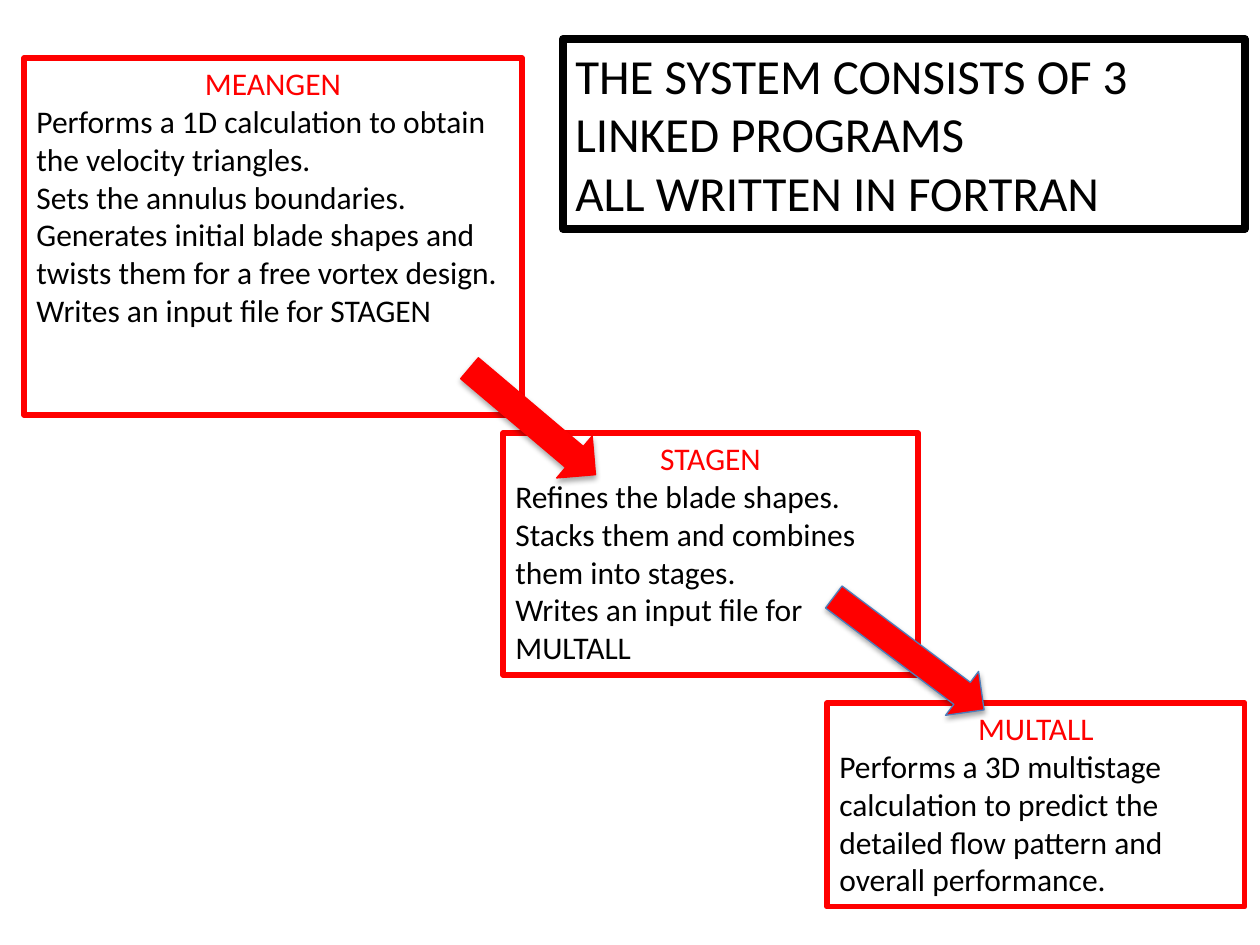
import pptx
import pptx.dml.color
import pptx.enum.shapes
import pptx.enum.text
import pptx.util

PX = 914400 // 126  # EMU in one px, at 126 px to the inch
FONT = "Calibri"
COLOURS = {"red": "FF0000", "black": "000000", "blue": "4B7EBC"}
ALIGN = pptx.enum.text.PP_ALIGN
FRAME_FORMAT = {
    "word_wrap": True,
    "auto_size": pptx.enum.text.MSO_AUTO_SIZE.NONE,
    "vertical_anchor": pptx.enum.text.MSO_ANCHOR.TOP,
}

# Program name, box in px, tasks
PROGRAMS = [
    ("STAGEN", (503, 433, 415, 242), [
        "Refines the blade shapes. Stacks them and combines them into stages.",
        "Writes an input file for MULTALL",
    ]),
    ("MEANGEN", (24, 58, 498, 357), [
        "Performs a 1D calculation to obtain the velocity triangles.",
        "Sets the annulus boundaries. Generates initial blade shapes and "
        "twists them for a free vortex design.",
        "Writes an input file for STAGEN",
    ]),
    ("MULTALL", (827, 703, 418, 204), [
        "Performs a 3D multistage calculation to predict the detailed flow "
        "pattern and overall performance.",
    ]),
]
HEADLINE = ["THE SYSTEM CONSISTS OF 3 LINKED PROGRAMS", "ALL WRITTEN IN FORTRAN"]
HEADLINE_BOX = (563, 39, 682, 190)

# Box in px, rotation, outline colour
LINKS = [
    ((450, 394, 165, 55), 40.2, "red"),
    ((815, 626, 188, 55), 36.9, "blue"),
]


def rgb(colour):
    return pptx.dml.color.RGBColor.from_string(COLOURS[colour])


def emu(box):
    return [length * PX for length in box]


def set_outline(part, colour, width):
    part.line.color.rgb = rgb(colour)
    part.line.width = pptx.util.Pt(width)


def add_panel(slide, box, lines, size, outline, width):
    """Outlined text panel; each line is (text, colour, alignment)."""
    panel = slide.shapes.add_textbox(*emu(box))
    set_outline(panel, outline, width)
    frame = panel.text_frame
    for name, value in FRAME_FORMAT.items():
        setattr(frame, name, value)
    for index, (text, colour, alignment) in enumerate(lines):
        paragraph = frame.paragraphs[0] if index == 0 else frame.add_paragraph()
        paragraph.alignment = alignment
        run = paragraph.add_run()
        run.text = text
        font_format = {"name": FONT, "size": pptx.util.Pt(size)}
        for name, value in font_format.items():
            setattr(run.font, name, value)
        run.font.color.rgb = rgb(colour)


def add_program(slide, box, program, tasks):
    lines = [(program, "red", ALIGN.CENTER)]
    lines += [(task, "black", ALIGN.LEFT) for task in tasks]
    add_panel(slide, box, lines, 18, "red", 3)


def add_headline(slide, box):
    lines = [(text, "black", ALIGN.LEFT) for text in HEADLINE]
    add_panel(slide, box, lines, 28, "black", 4.5)


def add_link(slide, box, rotation, outline):
    """Block arrow to the next program, keeping the theme's soft shadow."""
    arrow = slide.shapes.add_shape(
        pptx.enum.shapes.MSO_SHAPE.RIGHT_ARROW, *emu(box))
    arrow.rotation = rotation
    arrow.fill.solid()
    arrow.fill.fore_color.rgb = rgb("red")
    set_outline(arrow, outline, 0.75)


def main():
    deck = pptx.Presentation()
    deck.slide_width = pptx.util.Inches(10)
    deck.slide_height = pptx.util.Inches(7.5)
    slide = deck.slides.add_slide(deck.slide_layouts[6])

    # Program panels
    for program, box, tasks in PROGRAMS:
        add_program(slide, box, program, tasks)

    # Headline
    add_headline(slide, HEADLINE_BOX)

    # Arrows from each program to the next
    for box, rotation, outline in LINKS:
        add_link(slide, box, rotation, outline)

    deck.save("out.pptx")


if __name__ == "__main__":
    main()
